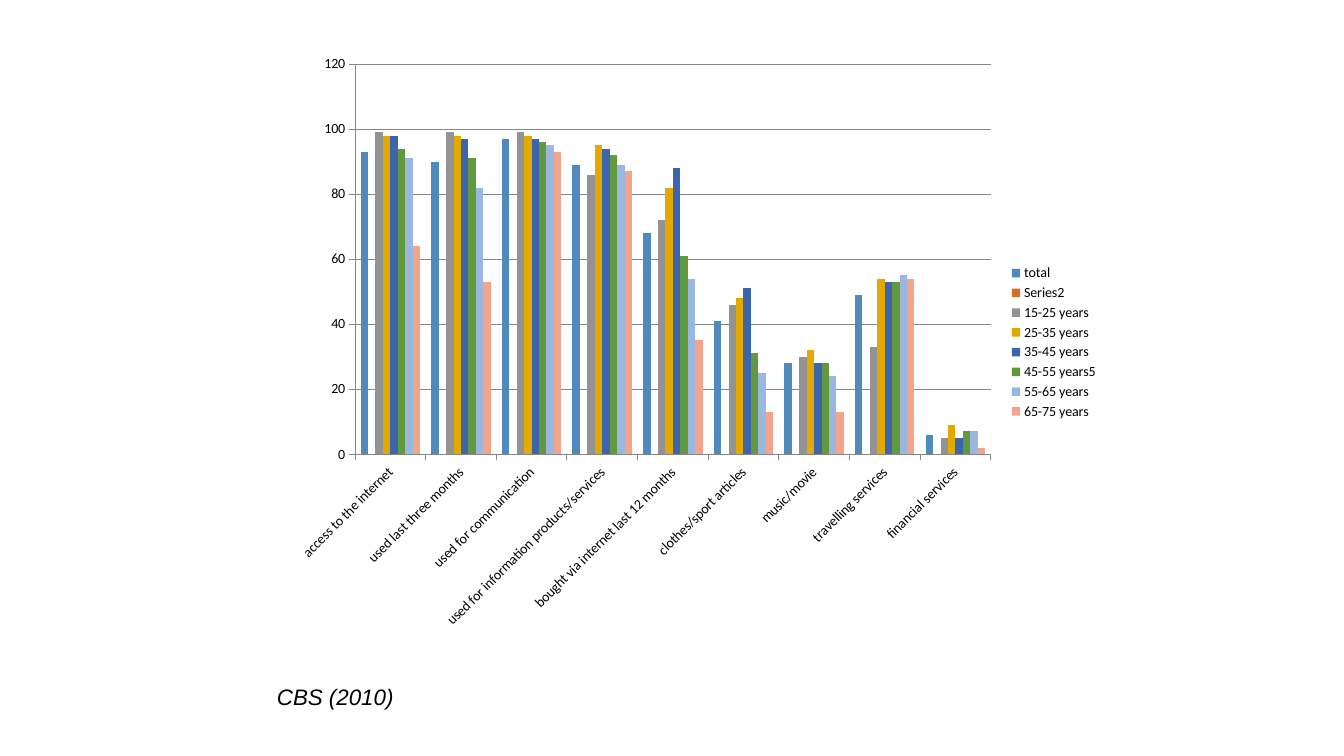
from pptx import Presentation
from pptx.chart.data import CategoryChartData
from pptx.dml.color import RGBColor
from pptx.enum.chart import XL_CHART_TYPE as ChartType, XL_LEGEND_POSITION as LegendPos
from pptx.enum.chart import XL_TICK_MARK as Tick
from pptx.enum.text import MSO_AUTO_SIZE as AutoSize
from pptx.util import Cm, Pt

BLACK, AXIS_GREY = "000000", "878787"
ACTIVITIES = [
    "access to the internet", "used last three months", "used for communication",
    "used for information products/services", "bought via internet last 12 months",
    "clothes/sport articles", "music/movie", "travelling services", "financial services",
]
AGE_GROUPS = [
    ("total", "4F8ABF", [93, 90, 97, 89, 68, 41, 28, 49, 6]),
    ("Series2", "D36E2A", [None] * len(ACTIVITIES)),
    ("15-25 years", "939393", [99, 99, 99, 86, 72, 46, 30, 33, 5]),
    ("25-35 years", "E2AA00", [98, 98, 98, 95, 82, 48, 32, 54, 9]),
    ("35-45 years", "3C65AE", [98, 97, 97, 94, 88, 51, 28, 53, 5]),
    ("45-55 years5", "63993E", [94, 91, 96, 92, 61, 31, 28, 53, 7]),
    ("55-65 years", "9AB7E0", [91, 82, 95, 89, 54, 25, 24, 55, 7]),
    ("65-75 years", "F2A58A", [64, 53, 93, 87, 35, 13, 13, 54, 2]),
]


def rgb(color):
    return RGBColor.from_string(color)


def format_font(font, color=BLACK, **values):
    font.color.rgb = rgb(color)
    for name, value in values.items():
        setattr(font, name, value)


def format_line(line, color=AXIS_GREY):
    line.color.rgb = rgb(color)
    line.width = Pt(0.75)


def format_axes(chart):
    cat, val = chart.category_axis, chart.value_axis
    for axis in (cat, val):
        axis.major_tick_mark, axis.minor_tick_mark = Tick.OUTSIDE, Tick.NONE
        format_line(axis.format.line)
    val.minimum_scale, val.maximum_scale, val.major_unit = 0, 120, 20
    val.has_major_gridlines = True
    format_line(val.major_gridlines.format.line)
    format_font(cat.tick_labels.font, name="Calibri", size=Pt(10))
    # Slant the category labels upwards by 45 degrees
    cat.format.line.width = Pt(0.75)
    for body in cat._element.txPr.iterchildren("{*}bodyPr"):
        body.set("rot", "-2700000")
        body.set("vert", "horz")


def add_column_chart(s, left, top, width, height):
    data = CategoryChartData()
    data.categories = ACTIVITIES
    for name, _, values in AGE_GROUPS:
        data.add_series(name, values)
    chart = s.shapes.add_chart(
        ChartType.COLUMN_CLUSTERED, left, top, width, height, data).chart
    format_font(chart.font, name="Calibri", size=Pt(10))
    chart.has_title = False
    chart.has_legend = True
    chart.legend.position = LegendPos.RIGHT
    chart.legend.include_in_layout = False

    plot = chart.plots[0]
    plot.gap_width, plot.overlap, plot.vary_by_categories = 150, 0, False
    for series, (_, color, _) in zip(plot.series, AGE_GROUPS):
        series.invert_if_negative = False
        series.format.fill.solid()
        series.format.fill.fore_color.rgb = rgb(color)
    format_axes(chart)


def add_text(s, text, left, top, width, height, **values):
    tf = s.shapes.add_textbox(left, top, width, height).text_frame
    tf.word_wrap = False
    tf.auto_size = AutoSize.SHAPE_TO_FIT_TEXT
    r = tf.paragraphs[0].add_run()
    r.text = text
    format_font(r.font, **values)


def main():
    prs = Presentation()
    prs.slide_width, prs.slide_height = Cm(33.87), Cm(19.05)
    s = prs.slides.add_slide(prs.slide_layouts[6])
    add_text(s, "CBS (2010)", Cm(6.73), Cm(17.09), Cm(3.48), Cm(0.94),
             name="Arial", size=Pt(16), italic=True)
    add_column_chart(s, Cm(7.14), Cm(1.12), Cm(20.8), Cm(15.01))
    prs.save("out.pptx")


if __name__ == "__main__":
    main()
